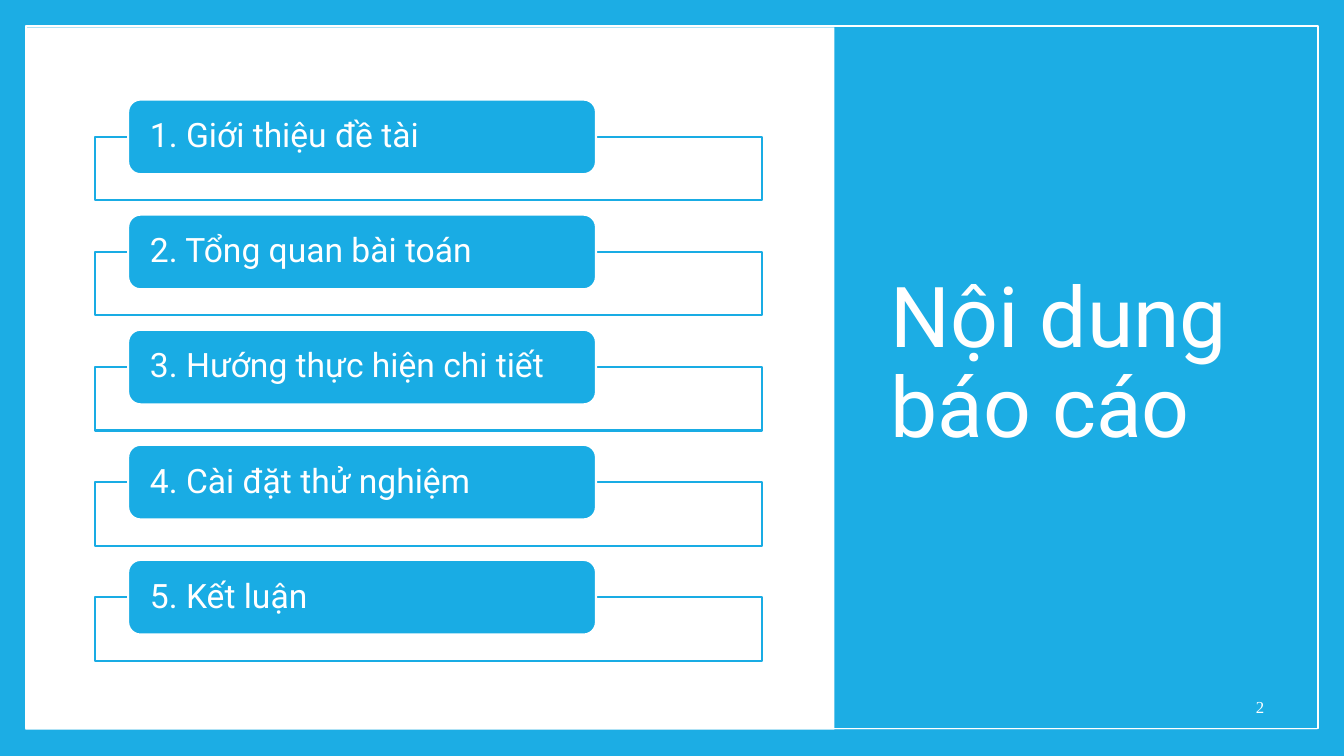
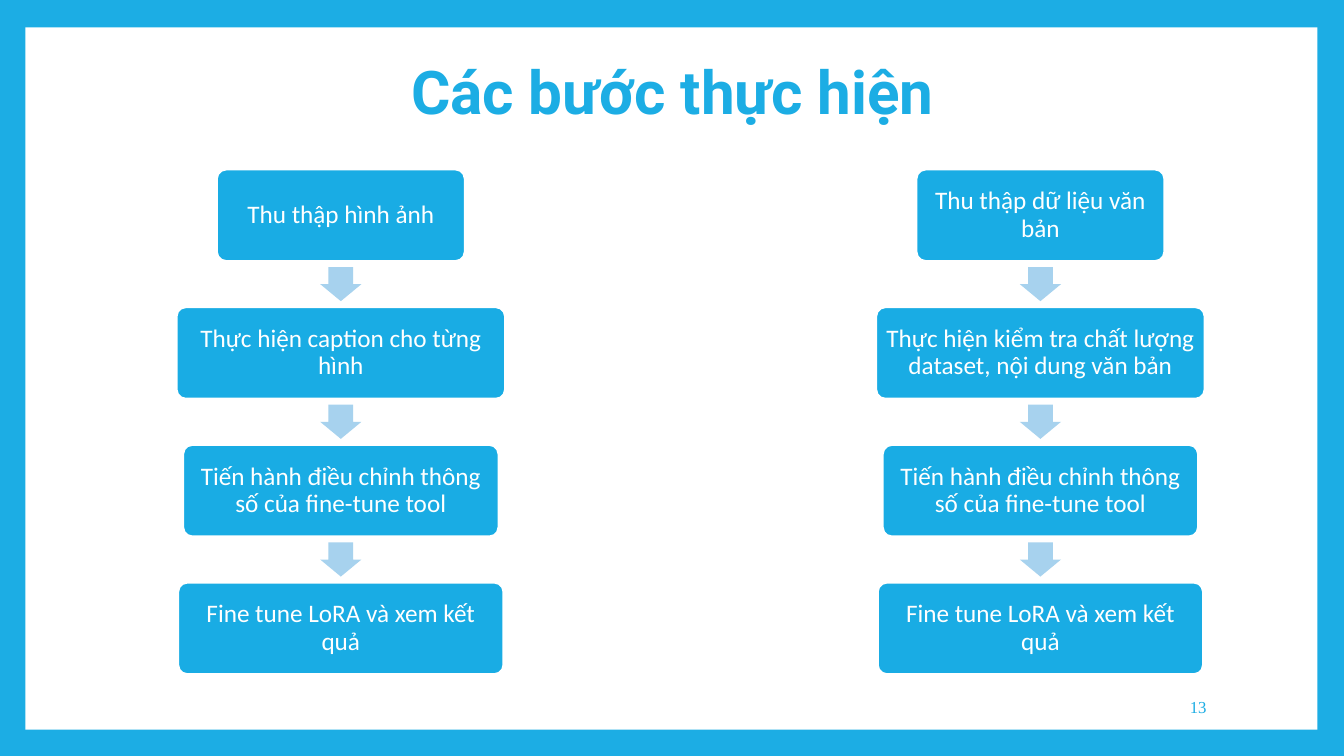
from pptx import Presentation
from pptx.dml.color import RGBColor
from pptx.enum.shapes import MSO_SHAPE as Kind
from pptx.enum.text import MSO_ANCHOR as Anchor, MSO_AUTO_SIZE as Fit, PP_ALIGN as Align
from pptx.util import Cm, Pt

# Content
TOPICS = [
    "1. Giới thiệu đề tài",
    "2. Tổng quan bài toán",
    "3. Hướng thực hiện chi tiết",
    "4. Cài đặt thử nghiệm",
    "5. Kết luận",
]
TUNE = "Tiến hành điều chỉnh thông số của fine-tune tool"
LAST = "Fine tune LoRA và xem kết quả"
FLOWS = [  # centre of the column, steps
    (8.59, ["Thu thập hình ảnh", "Thực hiện caption cho từng hình", TUNE, LAST]),
    (26.22, ["Thu thập dữ liệu văn bản",
             "Thực hiện kiểm tra chất lượng dataset, nội dung văn bản", TUNE, LAST]),
]
WIDTHS = [6.25, 8.28, 7.95, 8.2]

# Shared style
BLUE, FILL, PALE, WHITE = "1CADE4", "19ACE4", "A7D2EE", "FFFFFF"
HEAD, BODY, NUM = "Roboto", "Calibri", "Times New Roman"


def color(code):
    return RGBColor.from_string(code)


def draw(slide, kind, box, fill=None, line=None, width=1.5, adj=()):
    shape = slide.shapes.add_shape(kind, *map(Cm, box))
    shape.shadow.inherit = False
    if fill:
        shape.fill.solid()
        shape.fill.fore_color.rgb = color(fill)
    else:
        shape.fill.background()
    if line:
        shape.line.color.rgb = color(line)
        shape.line.width = Pt(width)
    else:
        shape.line.fill.background()
    for i, value in enumerate(adj):
        shape.adjustments[i] = value
    return shape


def write(shape, text, size, name, code, align=Align.LEFT, pad=(0.25, 0.13),
          bold=False, space=0.9):
    frame = shape.text_frame
    frame.text = text
    frame.word_wrap = True
    frame.auto_size = Fit.NONE
    frame.vertical_anchor = Anchor.MIDDLE
    frame.margin_left = frame.margin_right = Cm(pad[0])
    frame.margin_top = frame.margin_bottom = Cm(pad[1])
    para = frame.paragraphs[0]
    para.alignment, para.line_spacing = align, space
    font = para.font
    font.size, font.name, font.bold = Pt(size), name, bold
    font.color.rgb = color(code)


def set_title(slide, box, text, size, code, **style):
    title = slide.shapes.title
    title.left, title.top, title.width, title.height = map(Cm, box)
    write(title, text, size, HEAD, code, **style)
    slide.shapes.element.append(title.element)  # bring to front


def number(slide, text, right, code):
    box = slide.shapes.add_textbox(Cm(right - 3), Cm(17.3), Cm(3), Cm(1.02))
    write(box, text, 12, NUM, code, Align.RIGHT, space=1.0)


def agenda(slide):
    draw(slide, Kind.RECTANGLE, (21.03, 0.66, 12.19, 17.73), BLUE)
    set_title(slide, (22.2, 1.7, 9.93, 15.01), "Nội dung báo cáo", 60, WHITE)
    number(slide, "2", 32.11, WHITE)
    draw(slide, Kind.RECTANGLE, (0.66, 0.66, 32.56, 17.7), line=WHITE, width=1)
    for i, topic in enumerate(TOPICS):
        top = 2.51 + i * 2.9
        draw(slide, Kind.RECTANGLE, (2.39, top + 0.94, 16.81, 1.6), WHITE, FILL)
        tab = draw(slide, Kind.ROUNDED_RECTANGLE, (3.23, top, 11.79, 1.88),
                   FILL, WHITE, adj=[0.167])
        write(tab, topic, 24, HEAD, WHITE, pad=(0.46, 0))


def process(slide):
    set_title(slide, (3.23, 1.19, 27.43, 2.41), "Các bước thực hiện", 43, BLUE,
              align=Align.CENTER, bold=True)
    number(slide, "13", 30.66, BLUE)
    high, pitch = 2.31, 3.47
    wide, tall = 1.04, 0.86  # arrow
    for mid, steps in FLOWS:
        for i, (step, width) in enumerate(zip(steps, WIDTHS)):
            top = 4.27 + i * pitch
            if i:
                gap = top - (pitch - high) / 2  # middle of the gap above
                draw(slide, Kind.DOWN_ARROW,
                     (mid - wide / 2, gap - tall / 2, wide, tall), PALE, adj=[0.6, 0.5])
            card = draw(slide, Kind.ROUNDED_RECTANGLE, (mid - width / 2, top, width, high),
                        FILL, WHITE, adj=[0.1])
            write(card, step, 18, BODY, WHITE, Align.CENTER, pad=(0.18, 0.18))


def main():
    deck = Presentation()
    deck.slide_width, deck.slide_height = Cm(33.87), Cm(19.05)
    master = deck.slide_master
    layout = deck.slide_layouts.get_by_name("Title Only")
    first, second = [deck.slides.add_slide(layout) for _ in range(2)]

    # Blue frame and white panel live on the master
    master.background.fill.solid()
    master.background.fill.fore_color.rgb = color(BLUE)
    panel = draw(first, Kind.RECTANGLE, (0.64, 0.69, 32.56, 17.7), WHITE)
    master.shapes.element.insert(2, panel.element)

    agenda(first)
    process(second)
    deck.save("out.pptx")


if __name__ == "__main__":
    main()
